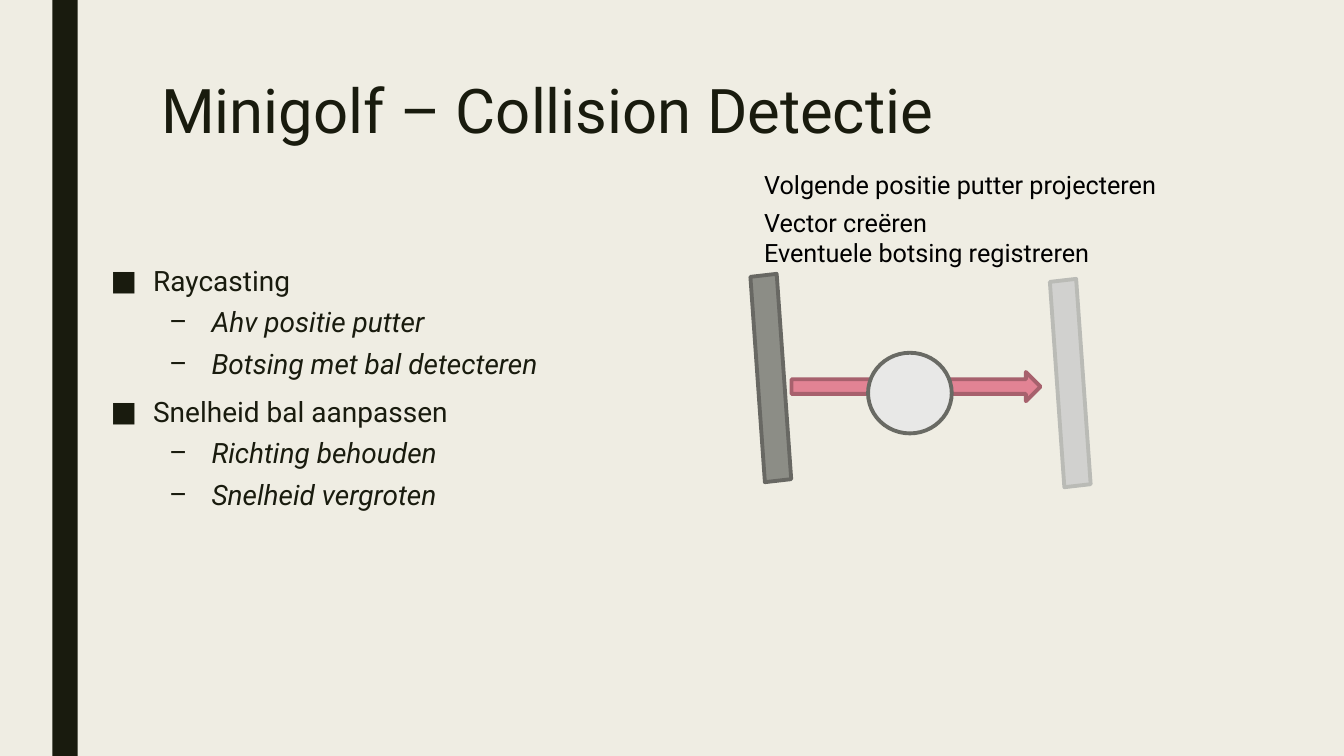
"""Builds the minigolf collision detection slide."""
from pptx import Presentation
from pptx.dml.color import RGBColor
from pptx.enum.shapes import MSO_SHAPE
from pptx.enum.text import MSO_ANCHOR
from pptx.oxml.ns import qn
from pptx.util import Inches, Pt
from lxml.etree import SubElement

HUES = {
    "paper": "EFEDE3", "ink": "191B0E", "black": "000000",
    "putter": "8C8D86", "edge": "686863",
    "ghost": "D1D1CF", "haze": "BABBB6",
    "arrow": "E28394", "rim": "A7616D",
    "ball": "E8E8E7", "ring": "696A64",
}


def write(para, text, size, hue="ink", italic=False, line=None, gap=None,
          mark=None, indent=0):
    run = para.add_run()
    run.text = text
    font = run.font
    font.name, font.size, font.italic = "Roboto", Pt(size), italic
    font.color.rgb = RGBColor.from_string(HUES[hue])
    para.line_spacing = line
    if gap is not None:
        para.space_before, para.space_after = Pt(gap), Pt(2)
    if mark:
        props = para._p.get_or_add_pPr()
        props.set("marL", str(Inches(indent)))
        props.set("indent", str(Inches(-0.42)))
        SubElement(props, qn("a:buFont")).set("typeface", "Roboto")
        SubElement(props, qn("a:buChar")).set("char", mark)


def draw(kind, box, fill, edge=None, turn=0):
    shape = slide.shapes.add_shape(kind, *map(Inches, box))
    shape.shadow.inherit = False
    shape.rotation = turn
    shape.fill.solid()
    shape.fill.fore_color.rgb = RGBColor.from_string(HUES[fill])
    if edge:
        shape.line.color.rgb = RGBColor.from_string(HUES[edge])
        shape.line.width = Pt(2.75)
    else:
        shape.line.fill.background()


deck = Presentation()
deck.slide_width, deck.slide_height = Inches(13.33), Inches(7.5)
slide = deck.slides.add_slide(deck.slide_layouts[6])
slide.background.fill.solid()
slide.background.fill.fore_color.rgb = RGBColor.from_string(HUES["paper"])

draw(MSO_SHAPE.RECTANGLE, (0.52, 0, 0.25, 7.5), "ink")

frames = []
for box in [(1.5, 0.75, 10.5, 1.62), (1, 2.59, 11.33, 3.74),
            (7.48, 1.63, 4.1, 0.4), (7.48, 2.01, 2.56, 0.4),
            (7.48, 2.31, 3.76, 0.4)]:
    frame = slide.shapes.add_textbox(*map(Inches, box)).text_frame
    frame.word_wrap = True
    frame.vertical_anchor = MSO_ANCHOR.TOP
    frames.append(frame)
title, body, *notes = frames

write(title.paragraphs[0], "Minigolf – Collision Detectie", 44, line=0.89)

points = [
    (0, "Raycasting"),
    (1, "Ahv positie putter"),
    (1, "Botsing met bal detecteren"),
    (0, "Snelheid bal aanpassen"),
    (1, "Richting behouden"),
    (1, "Snelheid vergroten"),
]
for rank, (level, text) in enumerate(points):
    para = body.add_paragraph() if rank else body.paragraphs[0]
    para.level = level
    write(para, text, 20, italic=level == 1, line=0.94, gap=(10, 5)[level],
          mark="■–"[level], indent=(0.42, 1)[level])

steps = ["Volgende positie putter projecteren", "Vector creëren",
         "Eventuele botsing registreren"]
for note, step in zip(notes, steps):
    write(note.paragraphs[0], step, 18, hue="black")

for left, top, fill, edge in [(7.47, 2.73, "putter", "edge"),
                              (10.44, 2.78, "ghost", "haze")]:
    draw(MSO_SHAPE.PARALLELOGRAM, (left, top, 0.35, 2.04), fill, edge, 173.5)
draw(MSO_SHAPE.RIGHT_ARROW, (7.85, 3.69, 2.47, 0.29), "arrow", "rim")
draw(MSO_SHAPE.FLOWCHART_CONNECTOR, (8.61, 3.5, 0.83, 0.8), "ball", "ring")

deck.save("out.pptx")
